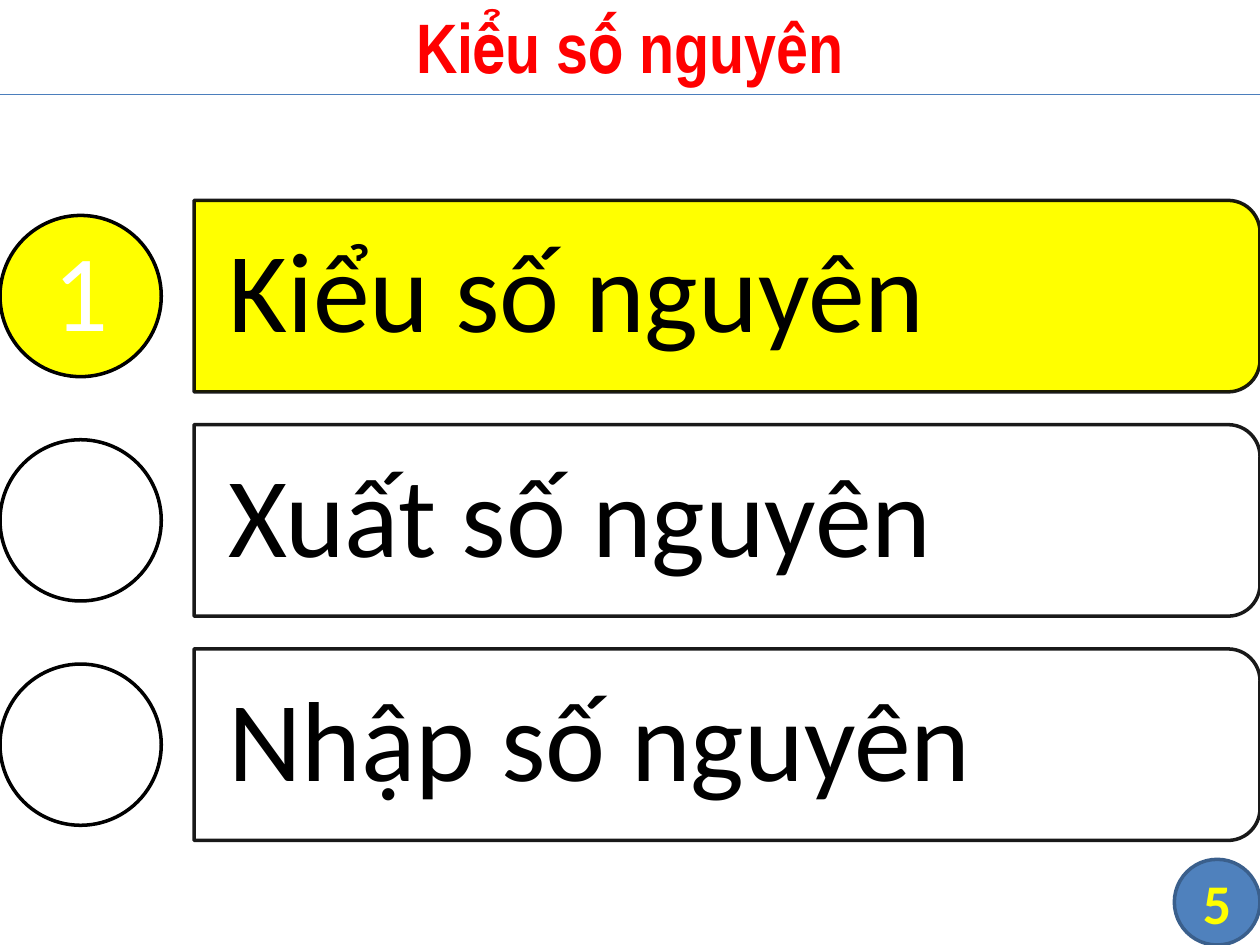
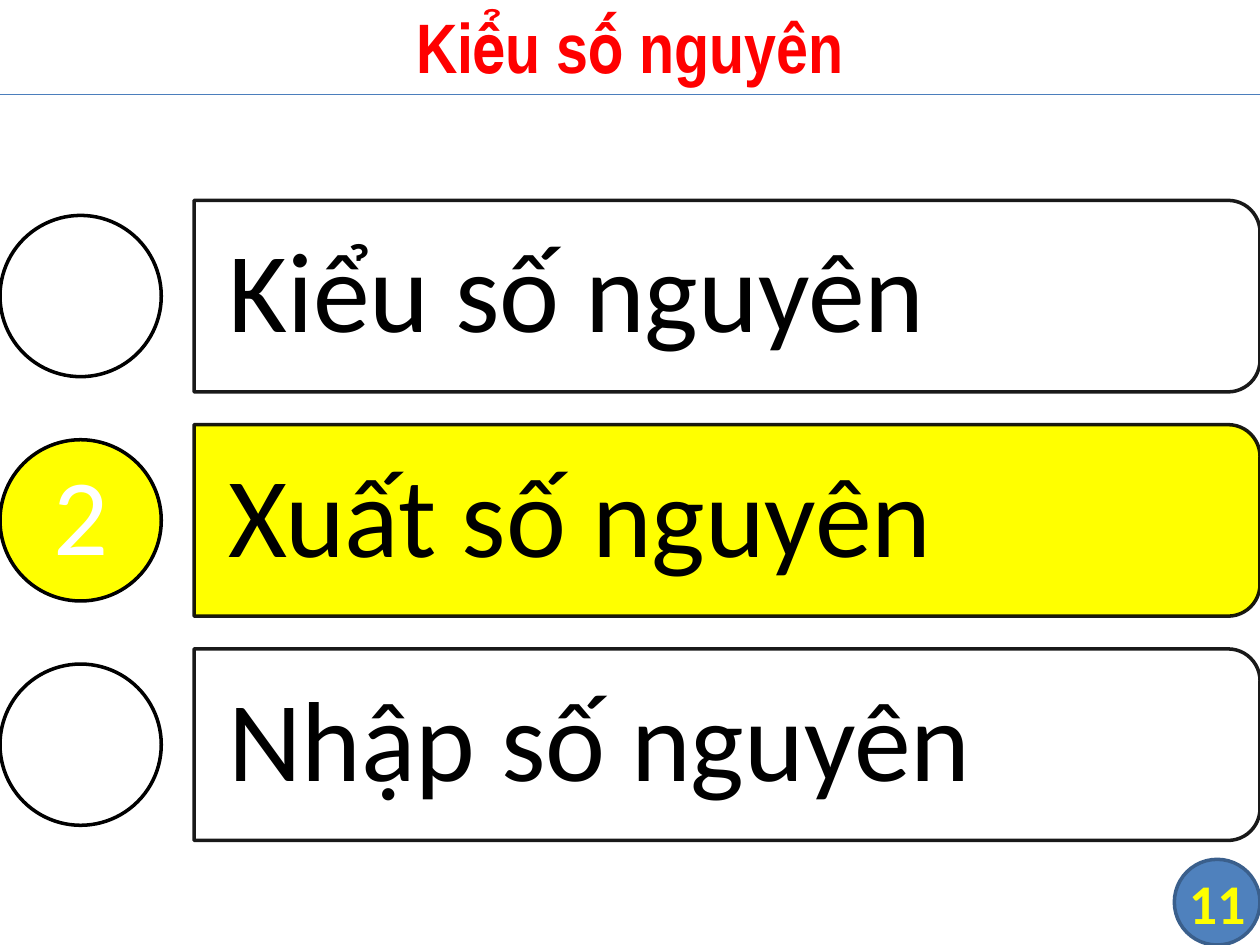
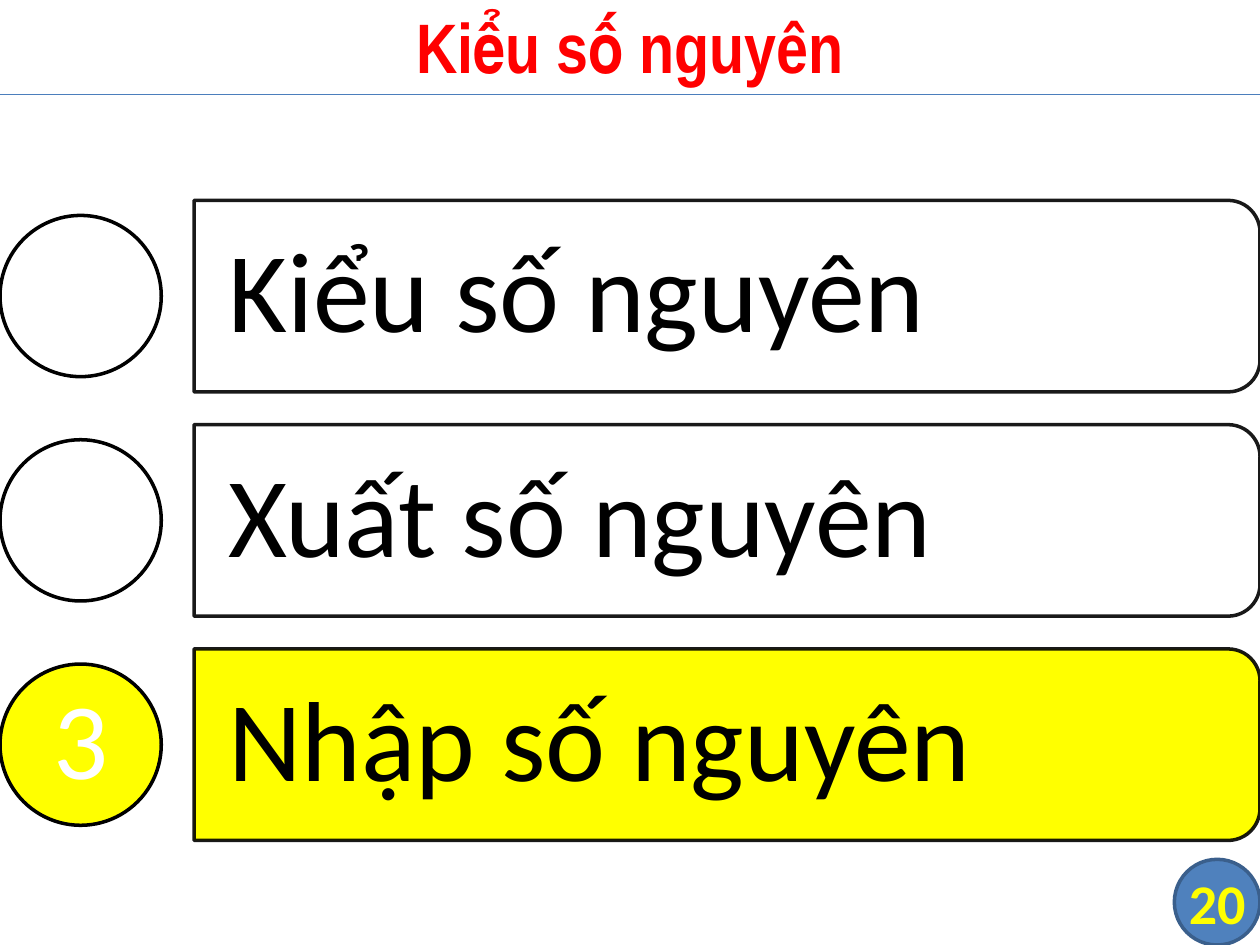
from dataclasses import dataclass

from lxml import etree
from pptx import Presentation
from pptx.dml.color import RGBColor
from pptx.enum.shapes import MSO_CONNECTOR, MSO_SHAPE
from pptx.enum.text import MSO_ANCHOR, PP_ALIGN
from pptx.oxml.ns import qn
from pptx.util import Inches, Pt

BAR = MSO_SHAPE.ROUND_2_SAME_RECTANGLE
CIRCLE = MSO_SHAPE.OVAL
BADGE = MSO_SHAPE.FLOWCHART_CONNECTOR
STRAIGHT = MSO_CONNECTOR.STRAIGHT
LEFT, CENTER = PP_ALIGN.LEFT, PP_ALIGN.CENTER
MIDDLE = MSO_ANCHOR.MIDDLE


@dataclass(frozen=True)
class Theme:
    white: str = "FFFFFF"
    black: str = "000000"
    highlight: str = "FFFF00"
    title: str = "FF0000"
    badge: str = "4F81BD"
    badge_edge: str = "3A5F8C"
    rule: str = "4B7EBC"
    title_font: str = "Arial Narrow"
    body_font: str = "Calibri"
    title_size: float = 40
    topic_size: float = 65
    number_size: float = 62
    page_size: float = 32
    edge_width: float = 2
    rule_width: float = 0.75


# Agenda geometry, in inches
SLIDE_WIDTH, SLIDE_HEIGHT = 10, 7.5
FIRST_CENTER, ROW_PITCH = 2.35, 1.78
BAR_LEFT, BAR_WIDTH, BAR_HEIGHT = 1.54, 8.46, 1.52
TOPIC_WIDTH, TOPIC_HEIGHT = 8.39, 1.37
CIRCLE_SIZE, NUMBER_SIZE = 1.28, 0.9
BADGE_SIZE = 0.68
RULE_TOP = 0.75

# Content
TITLE = "Kiểu số nguyên"
TOPICS = ["Kiểu số nguyên", "Xuất số nguyên", "Nhập số nguyên"]
PAGES = [5, 11, 20]


def set_alpha(color_format, percent):
    """Make a solid fill's colour partly transparent."""
    color = color_format._xPr.find(qn("a:solidFill"))[0]
    etree.SubElement(color, qn("a:alpha")).set("val", str(percent * 1000))


class Deck:
    def __init__(self, theme):
        self.theme = theme
        self.presentation = Presentation()
        self.presentation.slide_width = Inches(SLIDE_WIDTH)
        self.presentation.slide_height = Inches(SLIDE_HEIGHT)
        self.slide = None

    def new_slide(self):
        blank = self.presentation.slide_layouts[6]
        self.slide = self.presentation.slides.add_slide(blank)

    def text(self, text, left, top, width, height, *, size, color, font=None,
             bold=False, align=CENTER, insets=(0, 0), spacing=1.0):
        box = self.slide.shapes.add_textbox(
            Inches(left), Inches(top), Inches(width), Inches(height))
        frame = box.text_frame
        frame.word_wrap = True
        frame.vertical_anchor = MIDDLE
        frame.margin_left = frame.margin_right = Inches(insets[0])
        frame.margin_top = frame.margin_bottom = Inches(insets[1])
        paragraph = frame.paragraphs[0]
        paragraph.alignment = align
        paragraph.line_spacing = spacing
        run = paragraph.add_run()
        run.text = text
        run.font.name = font or self.theme.body_font
        run.font.size = Pt(size)
        run.font.bold = bold
        run.font.color.rgb = RGBColor.from_string(color)

    def shape(self, kind, left, top, width, height, *, fill, edge):
        shape = self.slide.shapes.add_shape(
            kind, Inches(left), Inches(top), Inches(width), Inches(height))
        shape.shadow.inherit = False
        shape.fill.solid()
        shape.fill.fore_color.rgb = RGBColor.from_string(fill)
        shape.line.color.rgb = RGBColor.from_string(edge)
        shape.line.width = Pt(self.theme.edge_width)
        return shape

    def rule(self, top):
        rule = self.slide.shapes.add_connector(
            STRAIGHT, 0, Inches(top), Inches(SLIDE_WIDTH), Inches(top))
        rule.line.color.rgb = RGBColor.from_string(self.theme.rule)
        rule.line.width = Pt(self.theme.rule_width)
        etree.SubElement(rule._element.spPr, qn("a:effectLst"))

    def bar(self, center, fill):
        """Bar turned a quarter so that its rounded corners face right."""
        middle = BAR_LEFT + BAR_WIDTH / 2
        bar = self.shape(BAR, middle - BAR_HEIGHT / 2, center - BAR_WIDTH / 2,
                         BAR_HEIGHT, BAR_WIDTH, fill=fill, edge=self.theme.black)
        bar.rotation = 90
        edge = bar.line.fill._xPr.find(qn("a:solidFill"))[0]
        etree.SubElement(edge, qn("a:alpha")).set("val", "90000")

    def topic(self, number, name, active):
        theme = self.theme
        center = FIRST_CENTER + (number - 1) * ROW_PITCH
        fill = theme.highlight if active else theme.white
        self.bar(center, fill)
        self.text(name, BAR_LEFT, center - TOPIC_HEIGHT / 2, TOPIC_WIDTH,
                  TOPIC_HEIGHT, size=theme.topic_size, color=theme.black,
                  align=LEFT, insets=(0.27, 0.18), spacing=0.9)
        self.shape(CIRCLE, 0, center - CIRCLE_SIZE / 2, CIRCLE_SIZE, CIRCLE_SIZE,
                   fill=fill, edge=theme.black)
        if active:
            self.text(str(number), (CIRCLE_SIZE - NUMBER_SIZE) / 2,
                      center - NUMBER_SIZE / 2, NUMBER_SIZE, NUMBER_SIZE,
                      size=theme.number_size, color=theme.white, spacing=0.9)

    def frame(self, title, page):
        """Title, rule and page badge shared by all slides."""
        theme = self.theme
        corner = (SLIDE_WIDTH - BADGE_SIZE, SLIDE_HEIGHT - BADGE_SIZE,
                  BADGE_SIZE, BADGE_SIZE)
        self.shape(BADGE, *corner, fill=theme.badge, edge=theme.badge_edge)
        self.rule(RULE_TOP)
        self.text(title, 0, -0.03, SLIDE_WIDTH, 0.78, size=theme.title_size,
                  color=theme.title, font=theme.title_font, bold=True,
                  insets=(0.1, 0.05))
        self.text(str(page), *corner, size=theme.page_size,
                  color=theme.highlight, bold=True)


def main():
    deck = Deck(Theme())
    for current, page in enumerate(PAGES, start=1):
        deck.new_slide()
        deck.frame(TITLE, page)
        for number, name in enumerate(TOPICS, start=1):
            deck.topic(number, name, active=number == current)
    deck.presentation.save("out.pptx")


if __name__ == "__main__":
    main()
